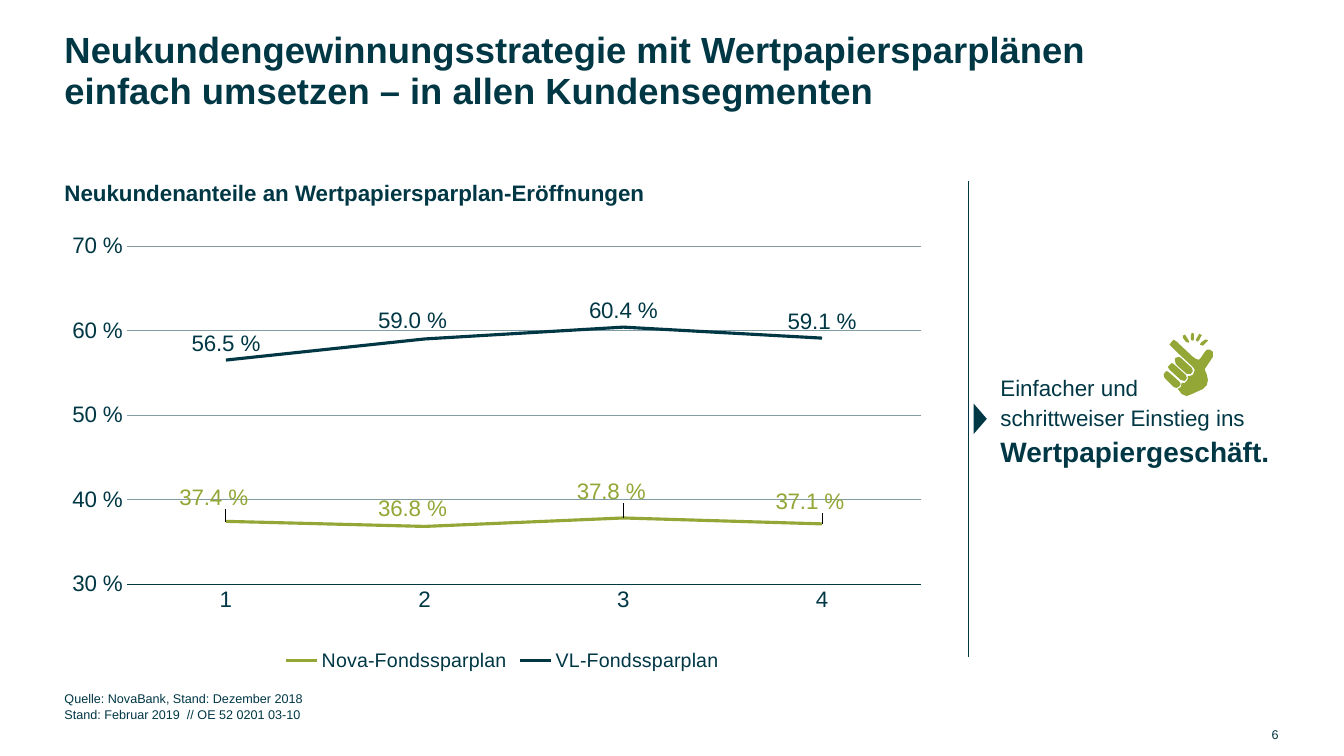
from dataclasses import dataclass
from lxml.etree import SubElement
from pptx import Presentation
from pptx.chart.data import CategoryChartData
from pptx.dml.color import RGBColor
from pptx.enum.chart import XL_CHART_TYPE, XL_LABEL_POSITION, XL_LEGEND_POSITION, XL_TICK_MARK
from pptx.enum.shapes import MSO_CONNECTOR, MSO_SHAPE
from pptx.enum.text import MSO_ANCHOR, PP_ALIGN
from pptx.oxml import parse_xml
from pptx.oxml.ns import nsdecls, qn
from pptx.util import Pt

PX = 9144


@dataclass(frozen=True)
class Theme:
    font: str = "Arial"
    petrol: RGBColor = RGBColor(0x00, 0x37, 0x45)
    green: RGBColor = RGBColor(0x92, 0xA7, 0x36)
    grid: RGBColor = RGBColor(0x82, 0x9C, 0xA4)
    title: int = 26
    emphasis: int = 20
    body: int = 16
    legend: int = 14
    small: int = 9
    hairline: float = 0.25
    curve: float = 2.25


THEME = Theme()

QUARTERS = ["1", "2", "3", "4"]
SAVINGS_PLANS = [
    ("Nova-Fondssparplan", THEME.green, [0.374, 0.368, 0.378, 0.371],
     [(-12, -8), (-12, -2), (-12, -10), (-12, -6)], {1, 2, 3}),
    ("VL-Fondssparplan", THEME.petrol, [0.565, 0.59, 0.604, 0.591],
     [(0, 0), (-12, -2), (0, 0), (0, 0)], set()),
]
CHART_BOX = (65, 226, 867, 444)

SNAPPING_HAND = [
    [(1169, 386), (1172, 384), (1173, 380), (1176, 380), (1178, 378), (1179, 376),
     (1179, 373), (1181, 373), (1184, 372), (1185, 370), (1186, 367), (1184, 364),
     (1170, 351), (1163, 344), (1161, 342), (1163, 339), (1165, 337), (1168, 339),
     (1184, 354), (1187, 356), (1190, 357), (1192, 355), (1194, 352), (1196, 349),
     (1198, 347), (1201, 347), (1204, 349), (1204, 354), (1196, 366), (1196, 367),
     (1198, 372), (1199, 377), (1198, 382), (1194, 386), (1183, 391), (1178, 393),
     (1173, 391), (1170, 387)],
    [(1178, 375), (1176, 378), (1172, 377), (1161, 367), (1159, 364), (1161, 362),
     (1163, 360), (1166, 362), (1177, 372)],
    [(1170, 354), (1172, 355), (1183, 365), (1184, 368), (1182, 371), (1178, 371),
     (1170, 364), (1167, 361), (1166, 356), (1167, 355)],
    [(1168, 385), (1165, 384), (1156, 375), (1155, 372), (1156, 370), (1158, 368),
     (1161, 370), (1171, 379), (1172, 381), (1171, 383)],
    [(1193, 333), (1192, 334), (1190, 338), (1188, 339), (1187, 337), (1190, 332),
     (1191, 331)],
    [(1199, 338), (1198, 339), (1194, 343), (1191, 342), (1192, 340), (1196, 337),
     (1198, 337)],
    [(1182, 333), (1183, 330), (1185, 331), (1185, 337), (1184, 338), (1182, 337)],
    [(1176, 332), (1177, 333), (1180, 338), (1180, 340), (1177, 339), (1174, 335),
     (1174, 333)],
]


def px(*lengths):
    return [length * PX for length in lengths]


def style_font(font, size, color=THEME.petrol, bold=False):
    font.name = THEME.font
    font.size = Pt(size)
    font.bold = bold
    font.color.rgb = color


def fill_plain(shape, color):
    shape.shadow.inherit = False
    shape.fill.solid()
    shape.fill.fore_color.rgb = color
    shape.line.fill.background()


def prepare_frame(frame, anchor):
    frame.word_wrap = True
    frame.vertical_anchor = anchor
    frame.margin_left = frame.margin_right = frame.margin_top = frame.margin_bottom = 0


def add_title(slide, box, text):
    title = slide.shapes.title
    title.left, title.top, title.width, title.height = px(*box)
    prepare_frame(title.text_frame, MSO_ANCHOR.TOP)
    title.text_frame.text = text
    heading = title.text_frame.paragraphs[0]
    heading.alignment = PP_ALIGN.LEFT
    heading.line_spacing = 0.95
    style_font(heading.font, THEME.title, bold=True)


def add_text(slide, box, text, size, bold=False, anchor=MSO_ANCHOR.TOP, align=PP_ALIGN.LEFT):
    frame = slide.shapes.add_textbox(*px(*box)).text_frame
    prepare_frame(frame, anchor)
    frame.text = text
    for paragraph in frame.paragraphs:
        paragraph.alignment = align
        style_font(paragraph.font, size, bold=bold)
    return frame


def add_conclusion(slide, box, lead, keyword):
    statement = add_text(slide, box, lead, THEME.body).paragraphs[0]
    statement.line_spacing = 1.1
    statement.space_after = Pt(6)
    run = statement.add_run()
    run.text = keyword
    run.font.size = Pt(THEME.emphasis)
    run.font.bold = True


def add_divider(slide, x, top, bottom):
    divider = slide.shapes.add_connector(MSO_CONNECTOR.STRAIGHT, *px(x, top, x, bottom))
    divider.line.color.rgb = THEME.petrol
    divider.line.width = Pt(THEME.hairline)
    SubElement(divider._element.spPr, qn("a:effectLst"))


def add_pointer(slide, box):
    pointer = slide.shapes.add_shape(MSO_SHAPE.ISOSCELES_TRIANGLE, *px(*box))
    pointer.rotation = 90
    fill_plain(pointer, THEME.petrol)


def add_icon(slide, outlines, color):
    icon = slide.shapes.add_group_shape()
    for start, *others in outlines:
        builder = icon.shapes.build_freeform(*start, scale=float(PX))
        builder.add_line_segments(others, close=True)
        fill_plain(builder.convert_to_shape(), color)


def manual_layout(**settings):
    tags = "".join(f'<c:{tag} val="{value}"/>' for tag, value in settings.items())
    return parse_xml(f'<c:layout {nsdecls("c")}><c:manualLayout>{tags}</c:manualLayout></c:layout>')


def label_point(point, color, shift, masked):
    label = point.data_label
    style_font(label.font, THEME.body, color)
    label.position = XL_LABEL_POSITION.ABOVE
    fill = '<a:solidFill><a:srgbClr val="FFFFFF"/></a:solidFill>' if masked else "<a:noFill/>"
    x, y = shift[0] / CHART_BOX[2], shift[1] / CHART_BOX[3]
    index = point._ser.get_dLbl(point._idx).find(qn("c:idx"))
    for part in (
        parse_xml(f'<c:spPr {nsdecls("c", "a")}>{fill}</c:spPr>'),
        parse_xml(f'<c:numFmt {nsdecls("c")} formatCode="0.0\\ %" sourceLinked="0"/>'),
        manual_layout(x=round(x, 3), y=round(y, 3)),
    ):
        index.addnext(part)


def style_axes(chart):
    shares, quarters = chart.value_axis, chart.category_axis
    shares.minimum_scale, shares.maximum_scale, shares.major_unit = 0.3, 0.7, 0.1
    shares.tick_labels.number_format = "0\\ %"
    shares.tick_labels.number_format_is_linked = False
    shares.format.line.fill.background()
    for axis in (shares, quarters):
        axis.major_tick_mark = XL_TICK_MARK.NONE
        style_font(axis.tick_labels.font, THEME.body)
    for line, color in ((shares.major_gridlines.format.line, THEME.grid),
                        (quarters.format.line, THEME.petrol)):
        line.color.rgb = color
        line.width = Pt(THEME.hairline)


def add_share_chart(slide):
    shares = CategoryChartData(number_format="0.0\\ %")
    shares.categories = QUARTERS
    for name, _, values, _, _ in SAVINGS_PLANS:
        shares.add_series(name, values)
    chart = slide.shapes.add_chart(XL_CHART_TYPE.LINE, *px(*CHART_BOX), shares).chart
    style_font(chart.font, THEME.legend)
    chart.has_title = False
    chart.has_legend = True
    chart.legend.position = XL_LEGEND_POSITION.BOTTOM
    chart.legend.include_in_layout = False
    style_font(chart.legend.font, THEME.legend)
    style_axes(chart)
    plot_area = chart._chartSpace.chart.plotArea
    for layout in plot_area.findall(qn("c:layout")):
        plot_area.remove(layout)
    plot_area.insert(0, manual_layout(layoutTarget="inner", xMode="edge", yMode="edge",
                                      x=0.07, y=0.041, w=0.91, h=0.755))
    chart.plots[0].vary_by_categories = False
    for series, (_, color, _, shifts, masked) in zip(chart.plots[0].series, SAVINGS_PLANS):
        series.smooth = False
        series.format.line.color.rgb = color
        series.format.line.width = Pt(THEME.curve)
        for number, shift in enumerate(shifts):
            label_point(series.points[number], color, shift, number in masked)


def main():
    deck = Presentation()
    deck.slide_width, deck.slide_height = px(1334, 750)
    slide = deck.slides.add_slide(deck.slide_layouts[5])
    add_title(slide, (64, 30, 1094, 118),
              "Neukundengewinnungsstrategie mit Wertpapiersparplänen "
              "einfach umsetzen – in allen Kundensegmenten")
    add_text(slide, (64, 178, 860, 34), "Neukundenanteile an Wertpapiersparplan-Eröffnungen",
             THEME.body, bold=True)
    add_share_chart(slide)
    add_divider(slide, 961, 180, 652)
    add_pointer(slide, (958, 409, 30, 13))
    add_conclusion(slide, (993, 369, 271, 93),
                   "Einfacher und\vschrittweiser Einstieg ins ", "Wertpapiergeschäft.")
    add_icon(slide, SNAPPING_HAND, THEME.green)
    add_text(slide, (64, 686, 1205, 30),
             "Quelle: NovaBank, Stand: Dezember 2018\nStand: Februar 2019  // OE 52 0201 03-10",
             THEME.small, anchor=MSO_ANCHOR.BOTTOM)
    add_text(slide, (1210, 719, 59, 20), "6", THEME.small,
             anchor=MSO_ANCHOR.MIDDLE, align=PP_ALIGN.RIGHT)
    deck.save("out.pptx")


if __name__ == "__main__":
    main()
